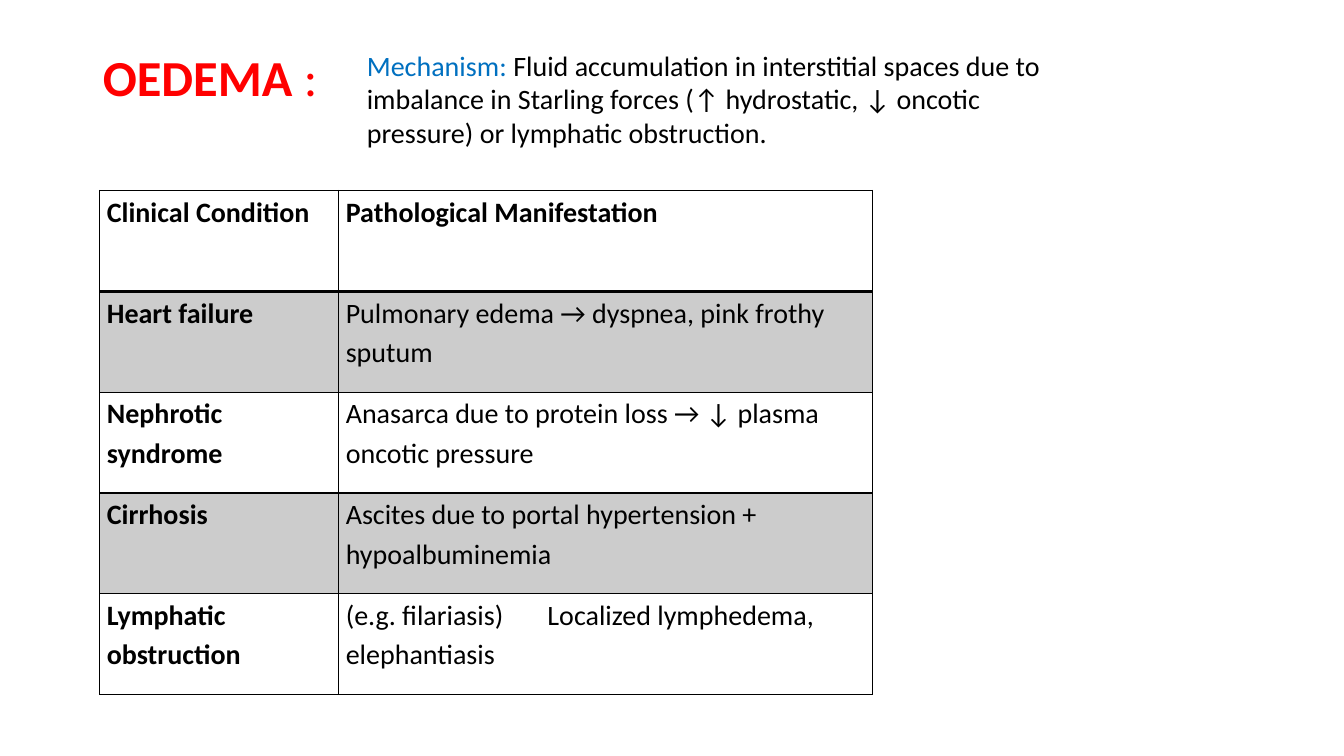
from lxml import etree
from pptx import Presentation
from pptx.dml.color import RGBColor
from pptx.enum.text import MSO_ANCHOR, MSO_AUTO_SIZE, PP_ALIGN
from pptx.oxml.ns import qn
from pptx.util import Inches, Pt

LEFT = PP_ALIGN.LEFT
MIDDLE, TOP = MSO_ANCHOR.MIDDLE, MSO_ANCHOR.TOP
NO_AUTOFIT, GROW = MSO_AUTO_SIZE.NONE, MSO_AUTO_SIZE.SHAPE_TO_FIT_TEXT

BLACK = RGBColor(0x00, 0x00, 0x00)
RED = RGBColor(0xFF, 0x00, 0x00)
BLUE = RGBColor(0x00, 0x70, 0xC0)

CONDITIONS = [
    ("Clinical Condition", "Pathological Manifestation"),
    ("Heart failure", "Pulmonary edema → dyspnea, pink frothy sputum"),
    ("Nephrotic syndrome",
     "Anasarca due to protein loss → ↓ plasma oncotic pressure"),
    ("Cirrhosis", "Ascites due to portal hypertension + hypoalbuminemia"),
    ("Lymphatic obstruction",
     "(e.g. filariasis)\tLocalized lymphedema, elephantiasis"),
]


class SlideBuilder:
    font_name = "Calibri"
    body_size = 20
    title_size = 36

    def __init__(self, presentation):
        self.slide = presentation.slides.add_slide(presentation.slide_layouts[5])

    def style(self, font, size, color=None, bold=False):
        font.name = self.font_name
        font.size = Pt(size)
        font.bold = bold
        if color is not None:
            font.color.rgb = color

    def title(self, bold_text, plain_text, left, top, width, height):
        shape = self.slide.shapes.title
        shape.left, shape.top = Inches(left), Inches(top)
        shape.width, shape.height = Inches(width), Inches(height)
        frame = shape.text_frame
        frame.auto_size = NO_AUTOFIT
        frame.vertical_anchor = MIDDLE
        paragraph = frame.paragraphs[0]
        paragraph.alignment = LEFT
        paragraph.line_spacing = 0.9
        self.style(paragraph.font, self.title_size, RED)
        for text, bold in ((bold_text, True), (plain_text, False)):
            run = paragraph.add_run()
            run.text = text
            run.font.bold = bold

    def labelled_text(self, label, body, left, top, width, height):
        """Add a wrapped text box that opens with a blue label."""
        box = self.slide.shapes.add_textbox(
            Inches(left), Inches(top), Inches(width), Inches(height))
        frame = box.text_frame
        frame.word_wrap = True
        frame.auto_size = GROW
        paragraph = frame.paragraphs[0]
        self.style(paragraph.font, self.body_size)
        for text, color in ((label, BLUE), (body, BLACK)):
            run = paragraph.add_run()
            run.text = text
            run.font.color.rgb = color

    def table(self, rows, left, top, column_widths, row_height):
        frame = self.slide.shapes.add_table(
            len(rows), len(column_widths), Inches(left), Inches(top),
            Inches(sum(column_widths)), Inches(row_height * len(rows)))
        table = frame.table
        table.horz_banding = False
        for column, width in zip(table.columns, column_widths):
            column.width = Inches(width)
        for row_index, texts in enumerate(rows):
            table.rows[row_index].height = Inches(row_height)
            for column_index, text in enumerate(texts):
                cell = table.cell(row_index, column_index)
                self.cell_text(cell, text, row_index == 0 or column_index == 0)
                self.cell_fill(cell, shaded=row_index % 2 == 1)
                self.cell_borders(cell, top=2 if row_index == 1 else 1,
                                  bottom=2 if row_index == 0 else 1)

    def cell_text(self, cell, text, bold):
        cell.margin_left = cell.margin_right = Inches(0.07)
        cell.margin_top = cell.margin_bottom = 0
        cell.vertical_anchor = TOP
        cell.text = text
        paragraph = cell.text_frame.paragraphs[0]
        paragraph.line_spacing = 1.15
        paragraph.space_after = Pt(8)
        self.style(paragraph.font, self.body_size, BLACK, bold)

    def cell_fill(self, cell, shaded):
        """Shade a cell with 20% black, or leave it clear."""
        if not shaded:
            cell.fill.background()
            return
        cell.fill.solid()
        cell.fill.fore_color.rgb = BLACK
        color = next(cell._tc.tcPr.iter(qn("a:srgbClr")))
        etree.SubElement(color, qn("a:alpha"), val="20000")

    def cell_borders(self, cell, top, bottom):
        """Draw black borders; they must precede the fill in the cell's XML."""
        widths = {"a:lnL": 1, "a:lnR": 1, "a:lnT": top, "a:lnB": bottom}
        for position, (tag, width) in enumerate(widths.items()):
            line = etree.Element(qn(tag), w=str(Pt(width)))
            fill = etree.SubElement(line, qn("a:solidFill"))
            etree.SubElement(fill, qn("a:srgbClr"), val=str(BLACK))
            cell._tc.tcPr.insert(position, line)


def main():
    presentation = Presentation()
    presentation.slide_width = Inches(13.33)
    presentation.slide_height = Inches(7.5)
    builder = SlideBuilder(presentation)
    builder.title("OEDEMA", " :", 0.92, 0.4, 2.71, 0.8)
    builder.table(CONDITIONS, 0.99, 1.89, (2.37, 5.29), 1)
    builder.labelled_text(
        "Mechanism: ",
        "Fluid accumulation in interstitial spaces due to imbalance in Starling "
        "forces (↑ hydrostatic, ↓ oncotic pressure) or lymphatic obstruction.",
        3.54, 0.43, 6.94, 1.11)
    presentation.save("out.pptx")


if __name__ == "__main__":
    main()
